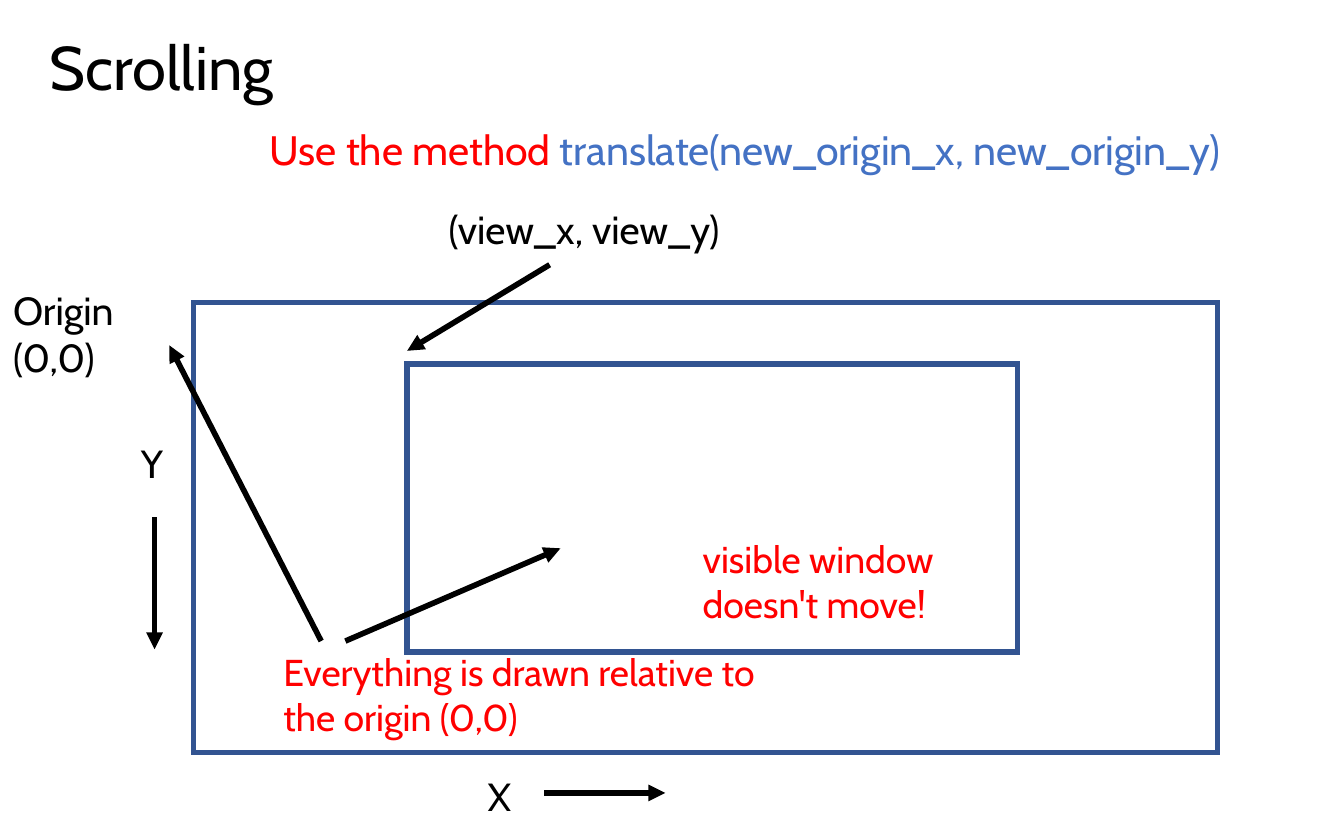
from typing import NamedTuple

from lxml.etree import SubElement
from pptx import Presentation
from pptx.dml.color import RGBColor
from pptx.enum.shapes import MSO_CONNECTOR, MSO_SHAPE
from pptx.enum.text import MSO_ANCHOR
from pptx.oxml.ns import qn
from pptx.util import Inches, Pt

BLACK = RGBColor(0x00, 0x00, 0x00)
RED = RGBColor(0xFF, 0x00, 0x00)
BLUE = RGBColor(0x44, 0x72, 0xC4)
FRAME_BLUE = RGBColor(0x32, 0x54, 0x91)
FONT = "Cabin"
LINE_WIDTH = Pt(3)


class Span(NamedTuple):
    text: str
    color: RGBColor = BLACK


class Label(NamedTuple):
    left: float
    top: float
    width: float
    height: float
    size: float
    spans: tuple[Span, ...]


class Frame(NamedTuple):
    left: float
    top: float
    width: float
    height: float


class Arrow(NamedTuple):
    start: tuple[float, float]
    end: tuple[float, float]


TITLE = Label(0.27, 0.16, 8.62, 0.73, 33, (Span("Scrolling"),))

LABELS = (
    Label(0, 2.08, 1.3, 0.8, 21, (Span("Origin (0,0)"),)),
    Label(3.53, 5.7, 0.41, 0.45, 21, (Span("X"),)),
    Label(0.95, 3.22, 0.38, 0.45, 21, (Span("Y"),)),
    Label(3.24, 1.48, 2.7, 0.45, 21, (Span("(view_x, view_y)"),)),
    # Wide enough to keep the method call on one line
    Label(1.91, 0.88, 7.7, 0.47, 22, (
        Span("Use the method ", RED),
        Span("translate(new_origin_x, new_origin_y)", BLUE),
    )),
    Label(2.01, 4.78, 3.86, 0.77, 20,
          (Span("Everything is drawn relative to the origin (0,0)", RED),)),
    Label(5.13, 3.94, 2.4, 0.77, 20,
          (Span("visible window doesn't move!", RED),)),
)

WORLD = Frame(1.44, 2.25, 7.62, 3.35)
VIEW = Frame(3.03, 2.71, 4.54, 2.14)

ARROWS = (
    Arrow((1.15, 3.85), (1.15, 4.83)),  # Y axis
    Arrow((4.05, 5.9), (4.95, 5.9)),    # X axis
    Arrow((4.09, 1.97), (3.03, 2.61)),  # to the view corner
    Arrow((2.39, 4.77), (1.26, 2.57)),  # to the origin
    Arrow((2.57, 4.77), (4.17, 4.08)),  # into the view
)


def add_label(page, label: Label):
    box = page.shapes.add_textbox(Inches(label.left), Inches(label.top),
                                  Inches(label.width), Inches(label.height))
    box.text_frame.word_wrap = True
    para = box.text_frame.paragraphs[0]
    for span in label.spans:
        run = para.add_run()
        run.text = span.text
        run.font.name = FONT
        run.font.size = Pt(label.size)
        run.font.color.rgb = span.color
    return box


def add_frame(page, frame: Frame) -> None:
    rectangle = page.shapes.add_shape(
        MSO_SHAPE.RECTANGLE, Inches(frame.left), Inches(frame.top),
        Inches(frame.width), Inches(frame.height))
    rectangle.shadow.inherit = False
    rectangle.fill.background()
    rectangle.line.color.rgb = FRAME_BLUE
    rectangle.line.width = LINE_WIDTH
    # Square corners
    SubElement(rectangle.line._get_or_add_ln(), qn("a:miter"), lim="800000")


def add_arrow(page, arrow: Arrow) -> None:
    connector = page.shapes.add_connector(
        MSO_CONNECTOR.STRAIGHT,
        *(Inches(value) for value in arrow.start + arrow.end))
    connector.line.color.rgb = BLACK
    connector.line.width = LINE_WIDTH
    SubElement(connector.line._get_or_add_ln(), qn("a:tailEnd"), type="triangle")
    SubElement(connector._element.spPr, qn("a:effectLst"))


def main() -> None:
    deck = Presentation()
    deck.slide_width = Inches(10)
    deck.slide_height = Inches(6.25)
    page = deck.slides.add_slide(deck.slide_layouts[6])

    # Title
    title = add_label(page, TITLE)
    title.text_frame.vertical_anchor = MSO_ANCHOR.MIDDLE
    title.text_frame.paragraphs[0].line_spacing = 0.9

    # World and the visible window inside it
    for frame in (WORLD, VIEW):
        add_frame(page, frame)

    # Arrows and labels
    for arrow in ARROWS:
        add_arrow(page, arrow)
    for label in LABELS:
        add_label(page, label)

    deck.save("out.pptx")


if __name__ == "__main__":
    main()
